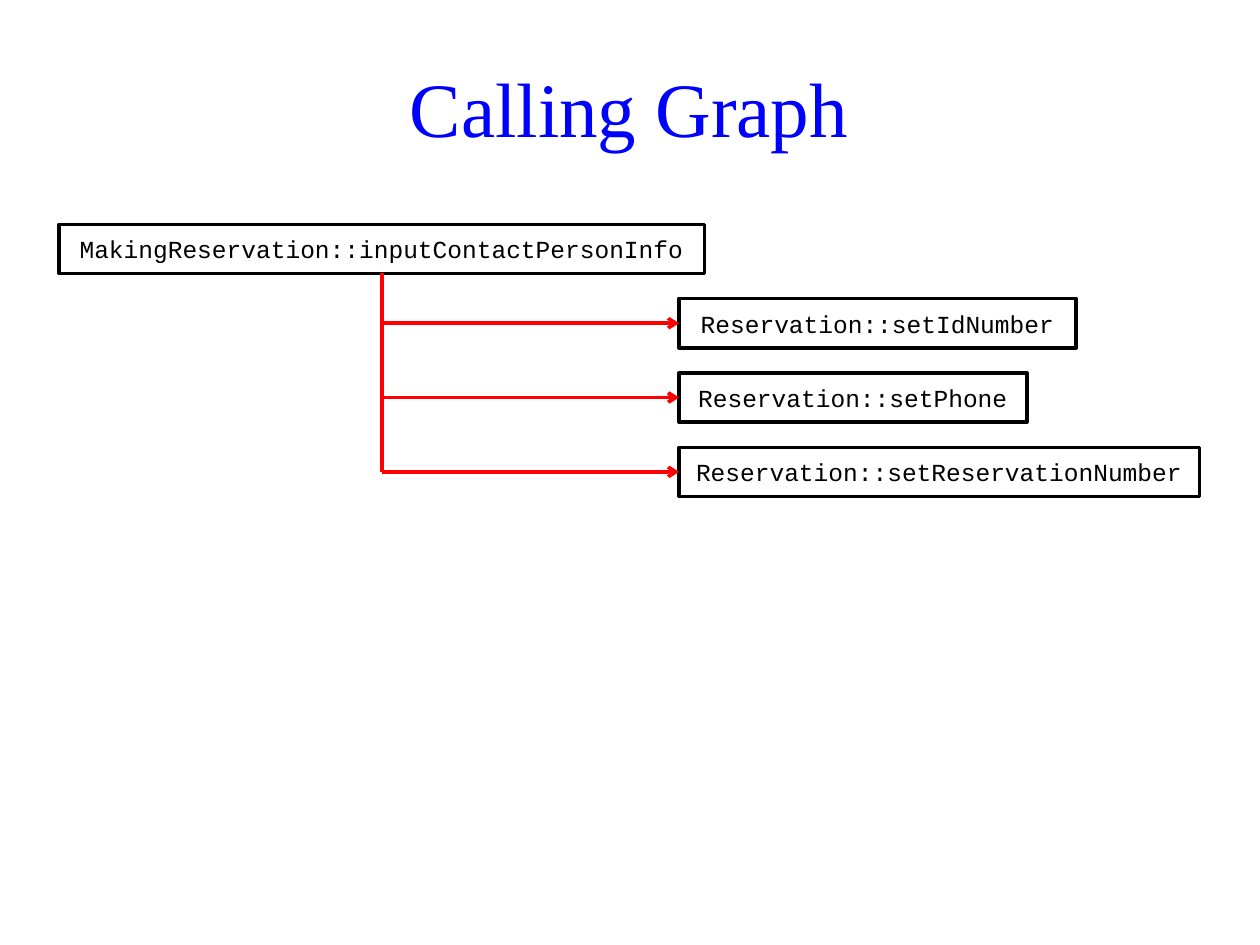
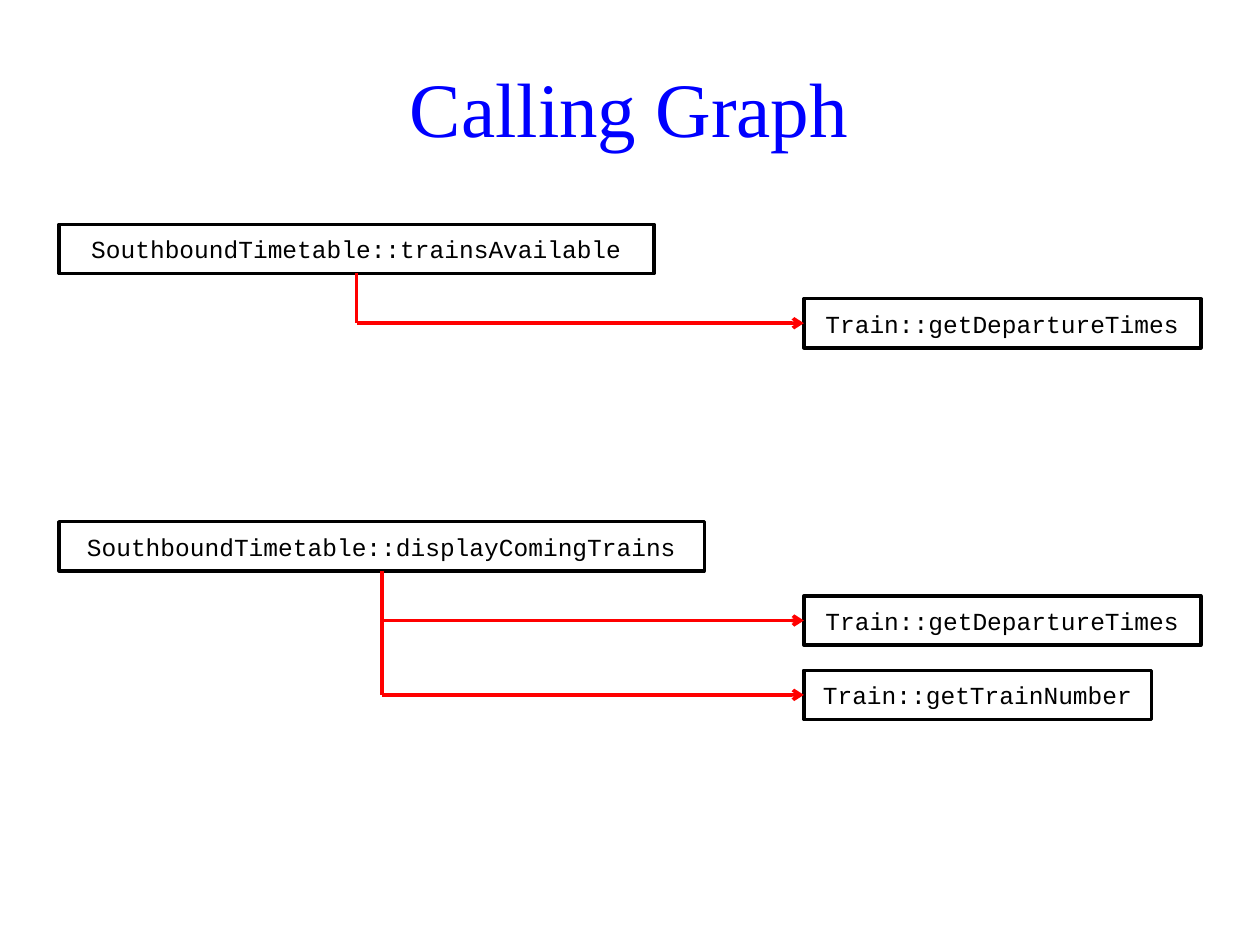
from lxml.etree import SubElement
from pptx import Presentation
from pptx.dml.color import RGBColor
from pptx.enum.shapes import MSO_CONNECTOR, MSO_SHAPE
from pptx.enum.text import MSO_ANCHOR, PP_ALIGN
from pptx.oxml.ns import qn
from pptx.util import Inches, Pt

# Shared style
BLUE, BLACK, RED = "0000FF", "000000", "FF0000"
TITLE_FONT, CODE_FONT = "Times New Roman", "Courier New"
LINE_WIDTH = Pt(2)

# Shared grid
CALLER_LEFT, FIRST_ROW, ROW_STEP, BOX_HEIGHT = 0.47, 1.78, 0.59, 0.39


def color(hex_code):
    return RGBColor.from_string(hex_code)


def write(shape, text, font, size, hex_code):
    tf = shape.text_frame
    tf.word_wrap = True
    tf.vertical_anchor = MSO_ANCHOR.MIDDLE
    p = tf.paragraphs[0]
    p.text = text
    p.alignment = PP_ALIGN.CENTER
    r = p.runs[0]
    r.font.name, r.font.size = font, Pt(size)
    r.font.color.rgb = color(hex_code)
    return p


def add_title(s, text):
    box = s.shapes.add_textbox(Inches(0.27), Inches(0.4), Inches(9.45), Inches(0.98))
    write(box, text, TITLE_FONT, 44, BLUE).line_spacing = 0.9


def add_function(s, name, left, row, width):
    sp = s.shapes.add_shape(MSO_SHAPE.FLOWCHART_PROCESS, Inches(left),
                            Inches(FIRST_ROW + row * ROW_STEP),
                            Inches(width), Inches(BOX_HEIGHT))
    sp.shadow.inherit = False
    sp.fill.background()
    sp.line.color.rgb = color(BLACK)
    sp.line.width = LINE_WIDTH
    write(sp, name, CODE_FONT, 14, BLACK)
    return sp


def add_line(s, x1, y1, x2, y2, arrow=False):
    line = s.shapes.add_connector(MSO_CONNECTOR.STRAIGHT, x1, y1, x2, y2)
    line.line.color.rgb = color(RED)
    line.line.width = LINE_WIDTH
    if arrow:
        SubElement(line.line._get_or_add_ln(), qn("a:tailEnd"), type="arrow")
    SubElement(line._element.spPr, qn("a:effectLst"))
    return line


def add_call_tree(s, row, caller, caller_width, callee_left, callees):
    """Draw a caller, the functions it calls on the rows below, and the arrows."""
    root = add_function(s, caller, CALLER_LEFT, row, caller_width)
    trunk_x = root.left + root.width // 2
    for i, (name, width) in enumerate(callees, start=1):
        callee = add_function(s, name, callee_left, row + i, width)
        branch_y = callee.top + callee.height // 2
        arrow = add_line(s, trunk_x, branch_y, callee.left, branch_y, arrow=True)
        arrow.end_connect(callee, 1)
    # The trunk reaches down to the last branch
    trunk = add_line(s, trunk_x, root.top + root.height, trunk_x, branch_y)
    trunk.begin_connect(root, 2)


def add_graph_slide(prs, trees):
    s = prs.slides.add_slide(prs.slide_layouts[6])
    add_title(s, "Calling Graph")
    for tree in trees:
        add_call_tree(s, *tree)


def main():
    prs = Presentation()
    prs.slide_width, prs.slide_height = Inches(10), Inches(7.5)

    # Slide 1: reservation
    add_graph_slide(prs, [
        (0, "MakingReservation::inputContactPersonInfo", 5.12, 5.39, [
            ("Reservation::setIdNumber", 3.15),
            ("Reservation::setPhone", 2.76),
            ("Reservation::setReservationNumber", 4.13),
        ]),
    ])

    # Slide 2: timetable
    add_graph_slide(prs, [
        (0, "SouthboundTimetable::trainsAvailable", 4.72, 6.38, [
            ("Train::getDepartureTimes", 3.15),
        ]),
        (4, "SouthboundTimetable::displayComingTrains", 5.12, 6.38, [
            ("Train::getDepartureTimes", 3.15),
            ("Train::getTrainNumber", 2.76),
        ]),
    ])

    prs.save("out.pptx")


if __name__ == "__main__":
    main()
